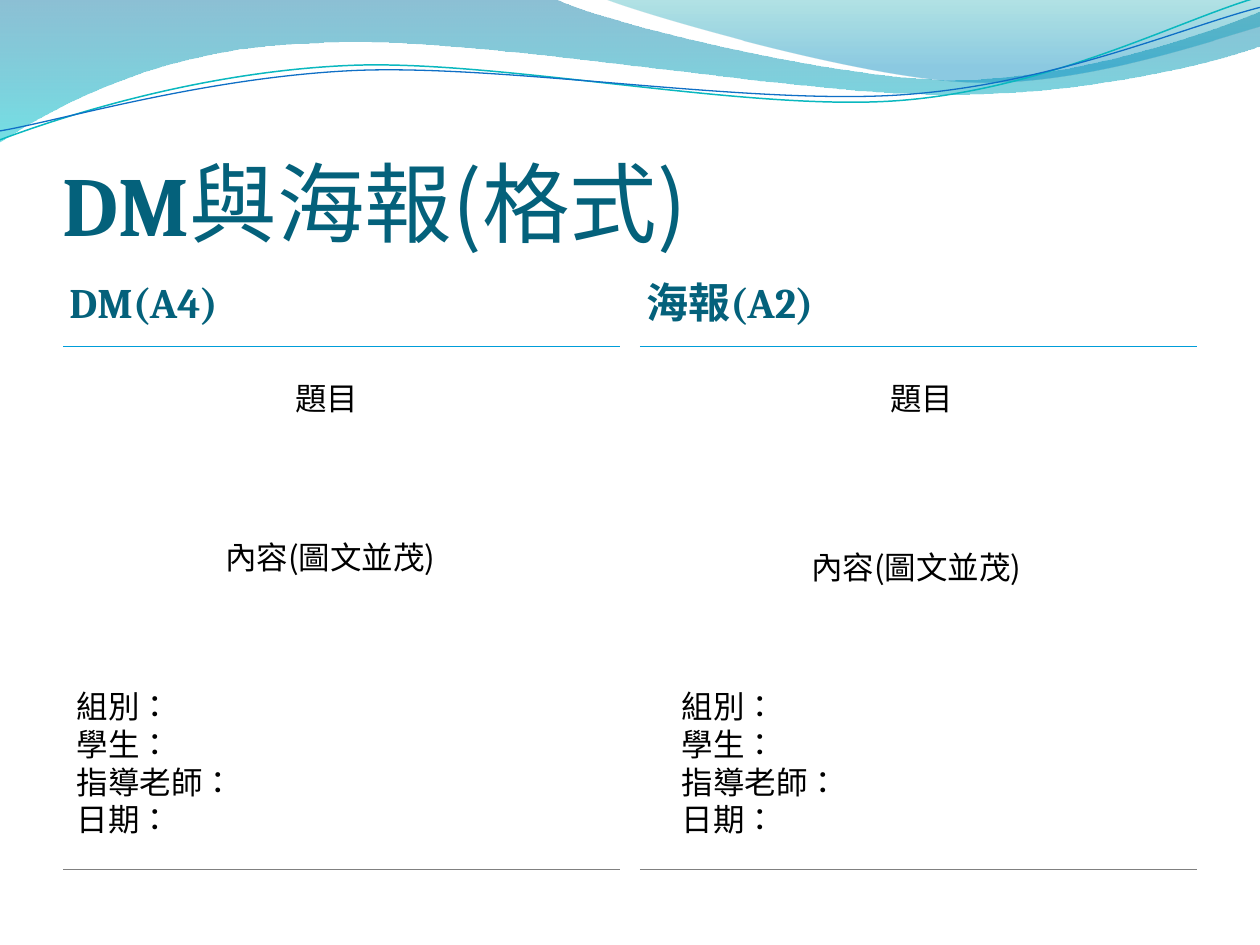
from lxml import etree
from pptx import Presentation
from pptx.dml import color
from pptx.enum import text as t
from pptx.oxml import ns
from pptx.util import Cm, Pt

HUES = {
    "head": "04617B", "body": "000000", "rule": "009DD9", "foot": "808080",
    "deep": "0074A1", "aqua": "00C6CF", "teal": "00A1A9", "sky": "008BBF",
    "cyan": "0AB8BF", "blue": "0F6FC6",
}
LATIN, HAN = "Cambria", "Noto Sans CJK SC"

BAND = [(0, 0), (11.18, -0.03), (12.09, 0.43, 16.87, 1.6, 19.25, 1.6),
        (21.67, 1.6, 24.33, 0.66, 25.4, 0.23), (25.43, 0.91),
        (24.97, 1.12, 22.1, 1.93, 18.95, 1.9),
        (15.8, 1.9, 9.7, 0.71, 6.53, 0.86),
        (3.28, 0.91, 1.17, 2.11, -0.03, 2.87)]
CREST = [(12.17, -0.03), (12.93, 0.28, 17.32, 1.57, 19.53, 1.65),
         (21.74, 1.75, 24.41, 0.81, 25.4, 0.53), (25.4, 0)]
UPPER = [(0, 2.82), (1.22, 2.36, 4.01, 1.45, 7.04, 1.32),
         (10.03, 1.19, 15.06, 2.26, 18.11, 2.03),
         (21.16, 1.8, 23.83, 0.38, 25.35, -0.05)]
LOWER = [(0, 2.64), (1.19, 2.44, 4.17, 1.55, 7.19, 1.42),
         (10.24, 1.3, 15.16, 2.13, 18.21, 1.91),
         (21.23, 1.7, 23.9, 0.53, 25.4, 0.15)]


def rgb(hue):
    return color.RGBColor.from_string(HUES[hue])


def add_tag(node, tag, **attrs):
    return etree.SubElement(node, ns.qn(tag), attrs)


def add_curve(slide, x, y, steps, closed):
    dots = [(Cm(x + s[-2]), Cm(y + s[-1])) for s in steps]
    pen = slide.shapes.build_freeform(*dots[0])
    pen.add_line_segments(dots[1:], close=closed)
    shape = pen.convert_to_shape()
    shape.shadow.inherit = False
    legs = list(shape._element.iter(ns.qn("a:lnTo")))
    for leg, step in zip(legs, steps[1:]):
        if len(step) == 6:
            bend = etree.Element(ns.qn("a:cubicBezTo"))
            for a, b in zip(step[::2], step[1::2]):
                add_tag(bend, "a:pt", x=str(Cm(x + a) - shape.left),
                        y=str(Cm(y + b) - shape.top))
            leg.getparent().replace(leg, bend)
    return shape


def add_waves(slide, x, y):
    for steps, stops in (
            (BAND, ((0, "deep", 45), (1, "aqua", 55))),
            (CREST, ((0, "teal", 30), (0.8, "sky", 45)))):
        shape = add_curve(slide, x, y, steps, True)
        shape.line.fill.background()
        shape.fill.gradient()
        shape.fill.gradient_angle = 270
        for stop, (place, hue, alpha) in zip(shape.fill.gradient_stops, stops):
            stop.position = place
            stop.color.rgb = rgb(hue)
        tints = shape.fill._xPr.iter(ns.qn("a:srgbClr"))
        for tint, stop in zip(list(tints), stops):
            add_tag(tint, "a:alpha", val=str(stop[2] * 1000))
    for steps, hue, width in ((UPPER, "cyan", 0.85), (LOWER, "blue", 0.75)):
        shape = add_curve(slide, x, y, steps, False)
        shape.fill.background()
        shape.line.color.rgb = rgb(hue)
        shape.line.width = Pt(width)


def add_text(slide, x, y, w, h, lines, hue="body", size=18, bold=False,
             anchor=t.MSO_ANCHOR.TOP, pads=(0.25, 0.13)):
    box = slide.shapes.add_textbox(Cm(x), Cm(y), Cm(w), Cm(h))
    frame = box.text_frame
    frame.word_wrap = True
    frame.vertical_anchor = anchor
    frame.margin_left = frame.margin_right = Cm(pads[0])
    frame.margin_top = frame.margin_bottom = Cm(pads[1])
    for i, line in enumerate(lines):
        para = frame.add_paragraph() if i else frame.paragraphs[0]
        for words, face, *rest in line:
            run = para.add_run()
            run.text = words
            font = run.font
            font.size = Pt(rest[0] if rest else size)
            font.bold = rest[1] if rest else bold
            font.color.rgb = rgb(hue)
            font.name = face
            props = run._r.get_or_add_rPr()
            props.set("lang", "zh-TW")
            add_tag(props, "a:ea", typeface=face)


def add_frame(slide, x, y, w, h):
    grid = slide.shapes.add_table(1, 1, Cm(x), Cm(y), Cm(w), Cm(h)).table
    grid.first_row = grid.horz_banding = False
    cell = grid.cell(0, 0)
    props = cell._tc.get_or_add_tcPr()
    for side, hue in (("L", None), ("R", None), ("T", "rule"), ("B", "foot")):
        edge = add_tag(props, "a:ln" + side, w=str(Pt(1)))
        if hue:
            fill = add_tag(edge, "a:solidFill")
            add_tag(fill, "a:srgbClr", val=HUES[hue])
        else:
            add_tag(edge, "a:noFill")
    cell.fill.background()


def add_column(slide, x, y, w, head, topic, body, group):
    add_text(slide, x, y, w, 1.83, [head], hue="head", size=24, bold=True,
             anchor=t.MSO_ANCHOR.MIDDLE, pads=(0.13, 0))
    add_frame(slide, x, y + 1.83, w, 10.54)
    add_text(slide, x + topic, y + 2.36, 1.81, 1.02, [[("題目", HAN)]])
    add_text(slide, x + body[0], y + body[1], 5, 1.02,
             [[("內容(圖文並茂)", HAN)]])
    fields = ("組別：", "學生：", "指導老師：", "日期：")
    add_text(slide, x + group, y + 8.56, 3.72, 3.33,
             [[(name, HAN)] for name in fields])


def main():
    deck = Presentation()
    deck.slide_width, deck.slide_height = Cm(25.4), Cm(19.05)
    slide = deck.slides.add_slide(deck.slide_layouts[6])
    add_waves(slide, 0, 0)
    add_text(slide, 1.27, 1.96, 22.86, 3.17,
             [[("DM", LATIN, 48, True), ("與海報(格式)", HAN, 50, False)]],
             hue="head", anchor=t.MSO_ANCHOR.BOTTOM, pads=(0, 0))
    add_column(slide, 1.27, 5.16, 11.23, [("DM(A4)", LATIN)],
               4.43, (3.02, 5.56), 0.03)
    add_column(slide, 12.9, 5.16, 11.23, [("海報", HAN), ("(A2)", LATIN)],
               4.8, (3.2, 5.76), 0.59)
    deck.save("out.pptx")


if __name__ == "__main__":
    main()
